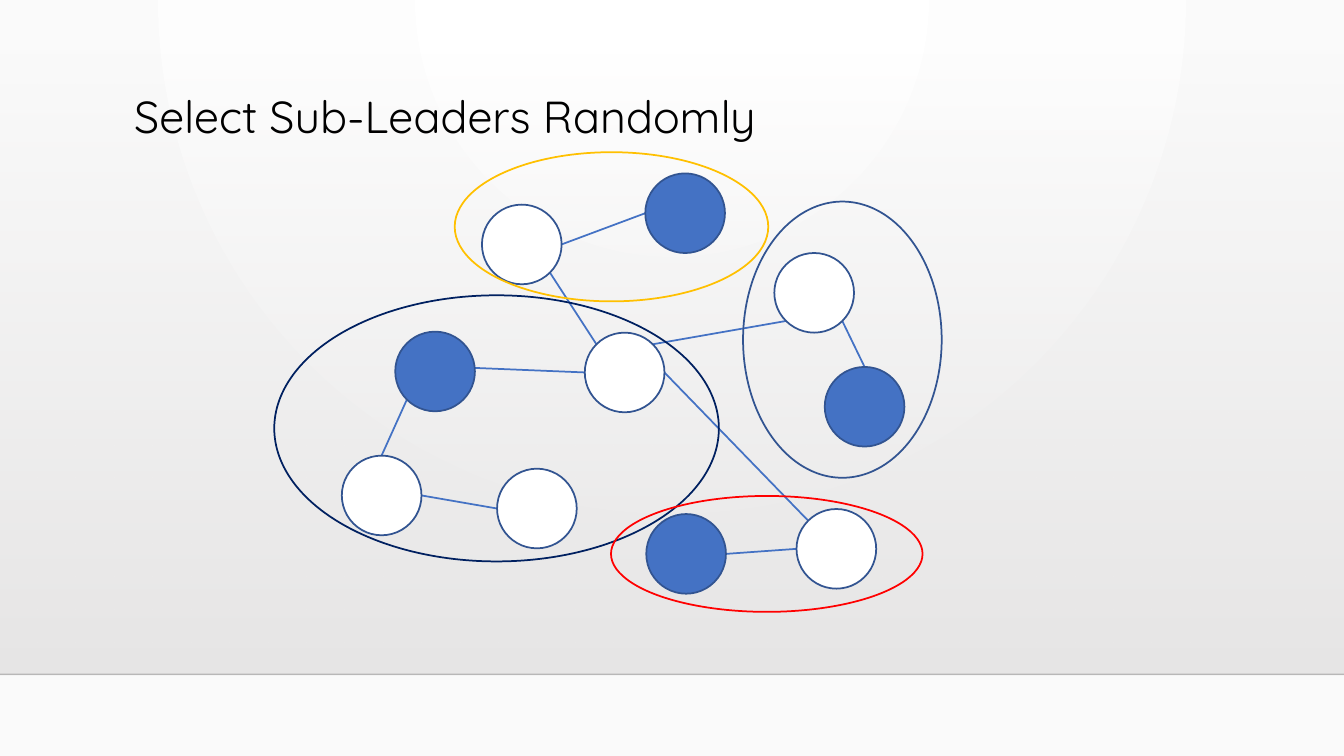
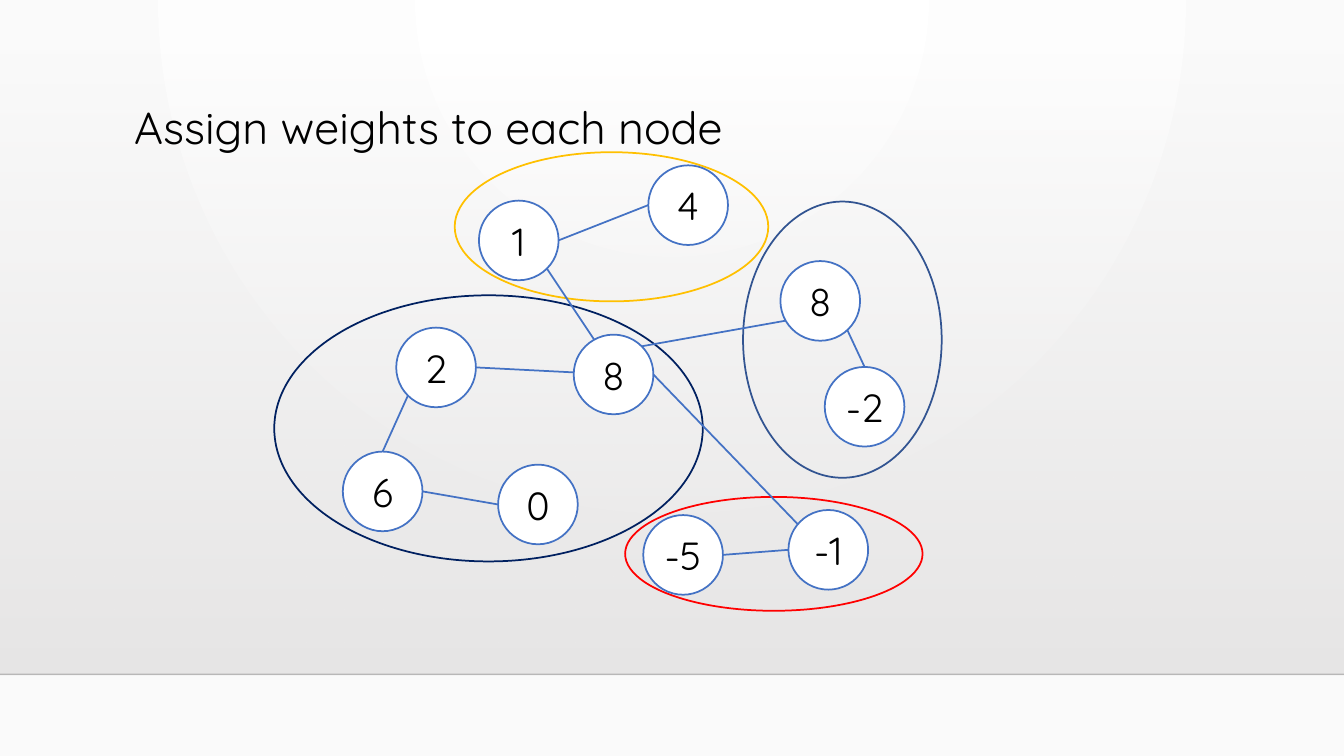
import math

from pptx import Presentation
from pptx.dml.color import RGBColor
from pptx.enum.shapes import MSO_CONNECTOR, MSO_SHAPE
from pptx.enum.text import MSO_ANCHOR, MSO_AUTO_SIZE, PP_ALIGN
from pptx.oxml.ns import qn
from pptx.util import Inches, Pt
from lxml import etree

ELLIPSE = MSO_SHAPE.OVAL
RECTANGLE = MSO_SHAPE.RECTANGLE
STRAIGHT = MSO_CONNECTOR.STRAIGHT
LEFT = PP_ALIGN.LEFT
CENTER = PP_ALIGN.CENTER
TOP = MSO_ANCHOR.TOP
MIDDLE = MSO_ANCHOR.MIDDLE
NO_AUTOFIT = MSO_AUTO_SIZE.NONE

BLACK = RGBColor(0x00, 0x00, 0x00)
WHITE = RGBColor(0xFF, 0xFF, 0xFF)
PALE = RGBColor(0xFA, 0xFA, 0xFA)
BAND_TOP = RGBColor(0xE7, 0xE6, 0xE6)
BAND_BOTTOM = RGBColor(0xE8, 0xE7, 0xE7)
RULE = RGBColor(0x00, 0x00, 0x01)
BLUE = RGBColor(0x44, 0x72, 0xC4)
DARK_BLUE = RGBColor(0x32, 0x54, 0x91)
NAVY = RGBColor(0x00, 0x20, 0x60)
RED = RGBColor(0xFF, 0x00, 0x00)
GOLD = RGBColor(0xFF, 0xC0, 0x00)

FONT = "Quicksand"
SLIDE_WIDTH, SLIDE_HEIGHT = 13.33, 7.5
BAND_START, BAND_END = 0.51, 6.69
NODE_SIZE = 0.79
OUTLINE = 1.25
SITES = ["top", "top left", "left", "bottom left",
         "bottom", "bottom right", "right", "top right"]

LEADER_NODES = {
    "west": (3.92, 3.29), "north": (4.78, 2.03), "hub": (5.8, 3.3),
    "south": (4.93, 4.65), "east end": (8.18, 3.64), "east": (7.68, 2.51),
    "southeast": (7.9, 5.05), "north end": (6.4, 1.72),
    "southwest": (3.39, 4.52), "southeast end": (6.41, 5.1),
}
LEADERS = {"west", "north end", "east end", "southeast end"}
WEIGHT_NODES = {
    "north": (4.75, 1.99), "north end": (6.43, 1.64), "hub": (5.69, 3.32),
    "east": (7.74, 2.59), "east end": (8.18, 3.64), "southeast": (7.82, 5.06),
    "southeast end": (6.38, 5.11), "west": (3.93, 3.25),
    "south": (4.94, 4.61), "southwest": (3.4, 4.48),
}
WEIGHTS = {
    "north": "1", "north end": "4", "hub": "8", "east": "8", "east end": "-2",
    "southeast": "-1", "southeast end": "-5", "west": "2", "south": "0",
    "southwest": "6",
}

SHARED_EDGES = [
    (("southwest", "top"), ("west", "bottom left")),
    (("southwest", "right"), ("south", "left")),
    (("north", "right"), ("north end", "left")),
    (("southeast end", "right"), ("southeast", "left")),
]
LEADER_EDGES = SHARED_EDGES + [
    (("north", "bottom right"), ("hub", "top left")),
    (("hub", "right"), ("southeast", "top left")),
    (("east", "bottom left"), ("hub", "top right")),
    (("east", "bottom right"), ("east end", "top")),
    ((4.71, 3.65), ("hub", "left")),
]
WEIGHT_EDGES = SHARED_EDGES + [
    (("north", "bottom right"), (5.92, 3.41)),
    (("hub", "right"), (7.97, 5.26)),
    ((7.8, 3.18), ("hub", "top right")),
    ((8.36, 3.18), ("east end", "top")),
    (("west", "right"), (5.8, 3.7)),
]

EAST_CLUSTER = (7.37, 2, 1.97, 2.74, DARK_BLUE)
NORTH_CLUSTER = (4.51, 1.51, 3.11, 1.48, GOLD)
LEADER_CLUSTERS = [EAST_CLUSTER, (2.72, 2.93, 4.41, 2.64, NAVY),
                   (6.06, 4.92, 3.09, 1.15, RED), NORTH_CLUSTER]
WEIGHT_CLUSTERS = [EAST_CLUSTER, (2.72, 2.93, 4.25, 2.64, NAVY),
                   (6.2, 4.93, 2.95, 1.13, RED), NORTH_CLUSTER]


def set_text(shape, text, size, align, anchor, wrap=True, spacing=None):
    frame = shape.text_frame
    frame.auto_size = NO_AUTOFIT
    frame.word_wrap = wrap
    frame.vertical_anchor = anchor
    paragraph = frame.paragraphs[0]
    paragraph.alignment = align
    paragraph.line_spacing = spacing
    run = paragraph.add_run()
    run.text = text
    run.font.name = FONT
    run.font.size = Pt(size)
    run.font.color.rgb = BLACK


def set_alpha(color_parent, percent):
    color = color_parent.find(".//" + qn("a:srgbClr"))
    etree.SubElement(color, qn("a:alpha"), val=str(percent * 1000))


def set_gradient(fill, first, last):
    fill.gradient()
    for stop, color in zip(fill.gradient_stops, (first, last)):
        stop.color.rgb = color


def add_shape(slide, kind, left, top, width, height, fill=None, line=None):
    shape = slide.shapes.add_shape(
        kind, Inches(left), Inches(top), Inches(width), Inches(height))
    shape.shadow.inherit = False
    if fill is None:
        shape.fill.background()
    else:
        shape.fill.solid()
        shape.fill.fore_color.rgb = fill
    if line is None:
        shape.line.fill.background()
    else:
        shape.line.color.rgb = line
        shape.line.width = Pt(OUTLINE)
    return shape


def add_line(slide, start, end, color, width):
    connector = slide.shapes.add_connector(
        STRAIGHT, *(Inches(value) for value in (*start, *end)))
    connector.line.color.rgb = color
    connector.line.width = Pt(width)
    etree.SubElement(connector.element.spPr, qn("a:effectLst"))
    return connector


def style_master(master, slide):
    set_gradient(master.background.fill, WHITE, PALE)
    gradient = master.element.find(".//" + qn("a:gradFill"))
    gradient.remove(gradient.find(qn("a:lin")))
    circle = etree.SubElement(gradient, qn("a:path"), path="circle")
    etree.SubElement(circle, qn("a:fillToRect"),
                     l="43000", t="0", r="43000", b="100000")

    band = add_shape(slide, RECTANGLE, 0, BAND_START,
                     SLIDE_WIDTH, BAND_END - BAND_START)
    set_gradient(band.fill, BAND_TOP, BAND_BOTTOM)
    band.fill.gradient_angle = 270
    set_alpha(band.element.find(".//" + qn("a:gs")), 0)
    rule = add_line(slide, (0, BAND_END), (SLIDE_WIDTH, BAND_END), RULE, 1)
    set_alpha(rule.element.find(".//" + qn("a:ln")), 20)

    for index, shape in enumerate((band, rule)):
        shape.element.find(".//" + qn("p:cNvPr")).set("id", str(101 + index))
        master.element.cSld.spTree.insert(2 + index, shape.element)


def set_title(slide, text, top):
    title = slide.shapes.title
    title.left, title.top = Inches(1.23), Inches(top)
    title.width, title.height = Inches(10.5), Inches(1.15)
    set_text(title, text, 32, LEFT, TOP, spacing=0.9)


def add_nodes(slide, positions, line, filled=(), labels=None):
    nodes = {}
    for name, (left, top) in positions.items():
        fill = BLUE if name in filled else WHITE
        node = add_shape(slide, ELLIPSE, left, top, NODE_SIZE, NODE_SIZE,
                         fill, line)
        if labels:
            frame = node.text_frame
            frame.margin_left = frame.margin_right = Inches(0.07)
            frame.margin_top = frame.margin_bottom = Inches(0.04)
            set_text(node, labels[name], 28, CENTER, MIDDLE, wrap=False)
        nodes[name] = node
    return nodes


def end_point(end, positions):
    if end[0] not in positions:
        return end
    left, top = positions[end[0]]
    angle = math.radians(90 + 45 * SITES.index(end[1]))
    radius = NODE_SIZE / 2
    return (left + radius + radius * math.cos(angle),
            top + radius - radius * math.sin(angle))


def add_edges(slide, edges, positions, nodes):
    first_node = next(iter(nodes.values()))
    for edge in edges:
        start, end = (end_point(item, positions) for item in edge)
        connector = add_line(slide, start, end, BLUE, OUTLINE)
        joints = connector.element.find(".//" + qn("p:cNvCxnSpPr"))
        for tag, (name, site) in zip(("a:stCxn", "a:endCxn"), edge):
            if name in nodes:
                etree.SubElement(joints, qn(tag),
                                 id=str(nodes[name].shape_id),
                                 idx=str(SITES.index(site)))
        first_node.element.addprevious(connector.element)


def add_clusters(slide, clusters):
    for left, top, width, height, color in clusters:
        add_shape(slide, ELLIPSE, left, top, width, height, line=color)


def main():
    presentation = Presentation()
    presentation.slide_width = Inches(SLIDE_WIDTH)
    presentation.slide_height = Inches(SLIDE_HEIGHT)
    title_only = presentation.slide_layouts.get_by_name("Title Only")

    leader_slide = presentation.slides.add_slide(title_only)
    style_master(presentation.slide_master, leader_slide)
    set_title(leader_slide, "Select Sub-Leaders Randomly", 0.89)
    nodes = add_nodes(leader_slide, LEADER_NODES, DARK_BLUE, filled=LEADERS)
    add_edges(leader_slide, LEADER_EDGES, LEADER_NODES, nodes)
    add_clusters(leader_slide, LEADER_CLUSTERS)

    weight_slide = presentation.slides.add_slide(title_only)
    set_title(weight_slide, "Assign weights to each node", 1)
    add_clusters(weight_slide, WEIGHT_CLUSTERS)
    nodes = add_nodes(weight_slide, WEIGHT_NODES, BLUE, labels=WEIGHTS)
    add_edges(weight_slide, WEIGHT_EDGES, WEIGHT_NODES, nodes)

    presentation.save("out.pptx")


if __name__ == "__main__":
    main()
